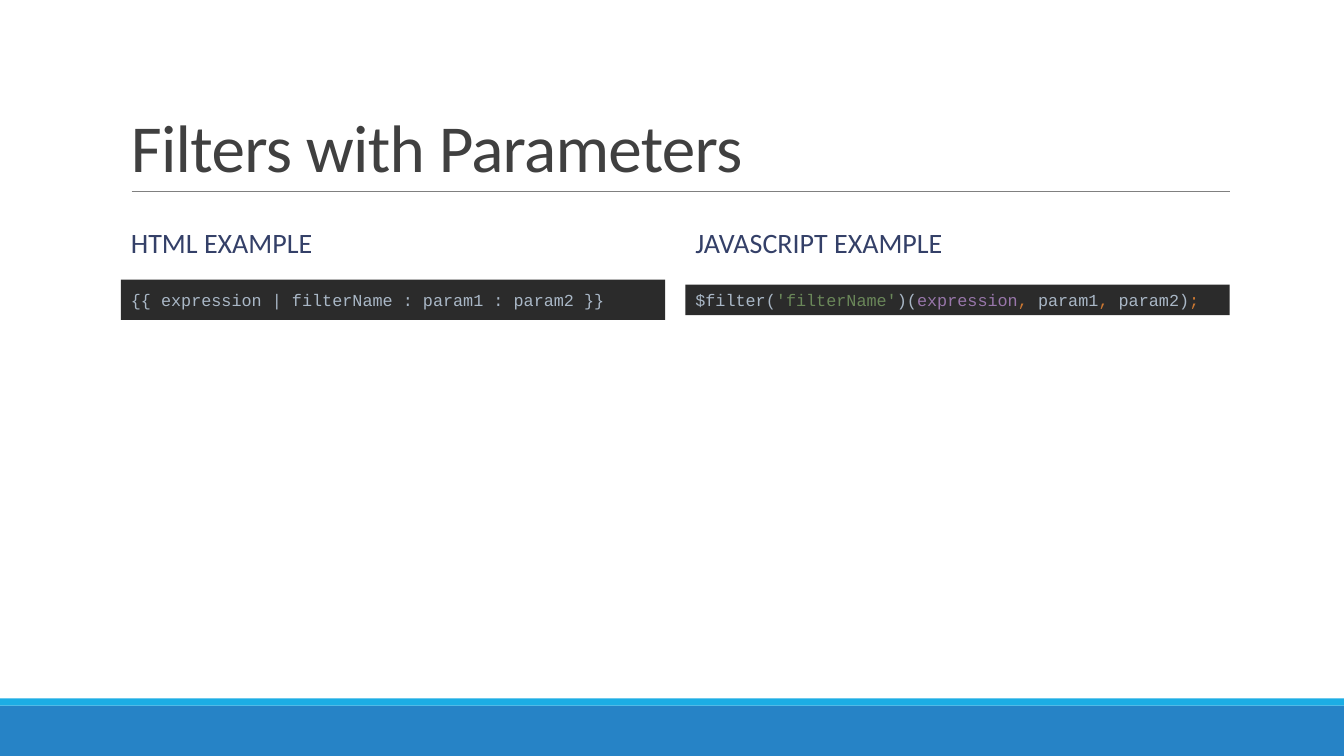
from pptx import Presentation
from pptx.dml.color import RGBColor
from pptx.enum.shapes import MSO_CONNECTOR, MSO_SHAPE
from pptx.enum.text import MSO_ANCHOR
from pptx.oxml.ns import qn
from pptx.util import Pt
from lxml import etree

RECTANGLE = MSO_SHAPE.RECTANGLE
STRAIGHT = MSO_CONNECTOR.STRAIGHT
MIDDLE, BOTTOM = MSO_ANCHOR.MIDDLE, MSO_ANCHOR.BOTTOM


def color(value):
    return RGBColor.from_string(value)


def add_text(spans, left, top, width, height, size=20, font="Calibri",
             anchor=MIDDLE, line_spacing=1.0, fill=None, tracking=None):
    """Add a one-paragraph text box; spans are (text, colour) pairs."""
    box = slide.shapes.add_textbox(Pt(left), Pt(top), Pt(width), Pt(height))
    if fill:
        box.fill.solid()
        box.fill.fore_color.rgb = color(fill)
    frame = box.text_frame
    frame.word_wrap = True
    frame.vertical_anchor = anchor
    para = frame.paragraphs[0]
    para.line_spacing = line_spacing
    for text, shade in spans:
        span = para.add_run()
        span.text = text
        span.font.name = font
        span.font.size = Pt(size)
        span.font.color.rgb = color(shade)
        if tracking:
            span._r.get_or_add_rPr().set("spc", str(tracking))


deck = Presentation()
deck.slide_width, deck.slide_height = Pt(960), Pt(540)
slide = deck.slides.add_slide(deck.slide_layouts[6])

# Footer bands
for top, height, shade in [(504, 36, "2683C6"), (498.8, 5.2, "1CADE4")]:
    band = slide.shapes.add_shape(RECTANGLE, Pt(0), Pt(top), Pt(960), Pt(height))
    band.shadow.inherit = False
    band.fill.solid()
    band.fill.fore_color.rgb = color(shade)
    band.line.fill.background()

# Title and the rule below it
add_text([("Filters with Parameters", "404040")], 86.4, 22.6, 792, 114.2,
         size=48, anchor=BOTTOM, line_spacing=0.85, tracking=-50)
rule = slide.shapes.add_connector(STRAIGHT, Pt(94), Pt(136.8), Pt(878.8), Pt(136.8))
rule.line.color.rgb = color("808080")
rule.line.width = Pt(0.5)
etree.SubElement(rule._element.spPr, qn("a:effectLst"))

# Two columns: heading above a code box centred on a shared line
PLAIN, STRING, NAME, MARK = "A9B7C6", "6A8759", "9876AA", "CC7832"
html_code = [("{{ expression | filterName : param1 : param2 }}", PLAIN)]
script_code = [
    ("$filter(", PLAIN), ("'filterName'", STRING), (")(", PLAIN),
    ("expression", NAME), (", ", MARK), ("param1", PLAIN), (", ", MARK),
    ("param2)", PLAIN), (";", MARK),
]
CODE_CENTER = 214.2
columns = [
    (86.4, "HTML EXAMPLE", html_code, 28.8),
    (489.6, "JAVASCRIPT EXAMPLE", script_code, 21.8),
]
for left, heading, code, height in columns:
    add_text([(heading, "344068")], left, 145.4, 388.8, 58.3, line_spacing=0.9)
    add_text(code, left, CODE_CENTER - height / 2, 388.8, height,
             size=12, font="Courier New", fill="2B2B2B")

deck.save("out.pptx")
